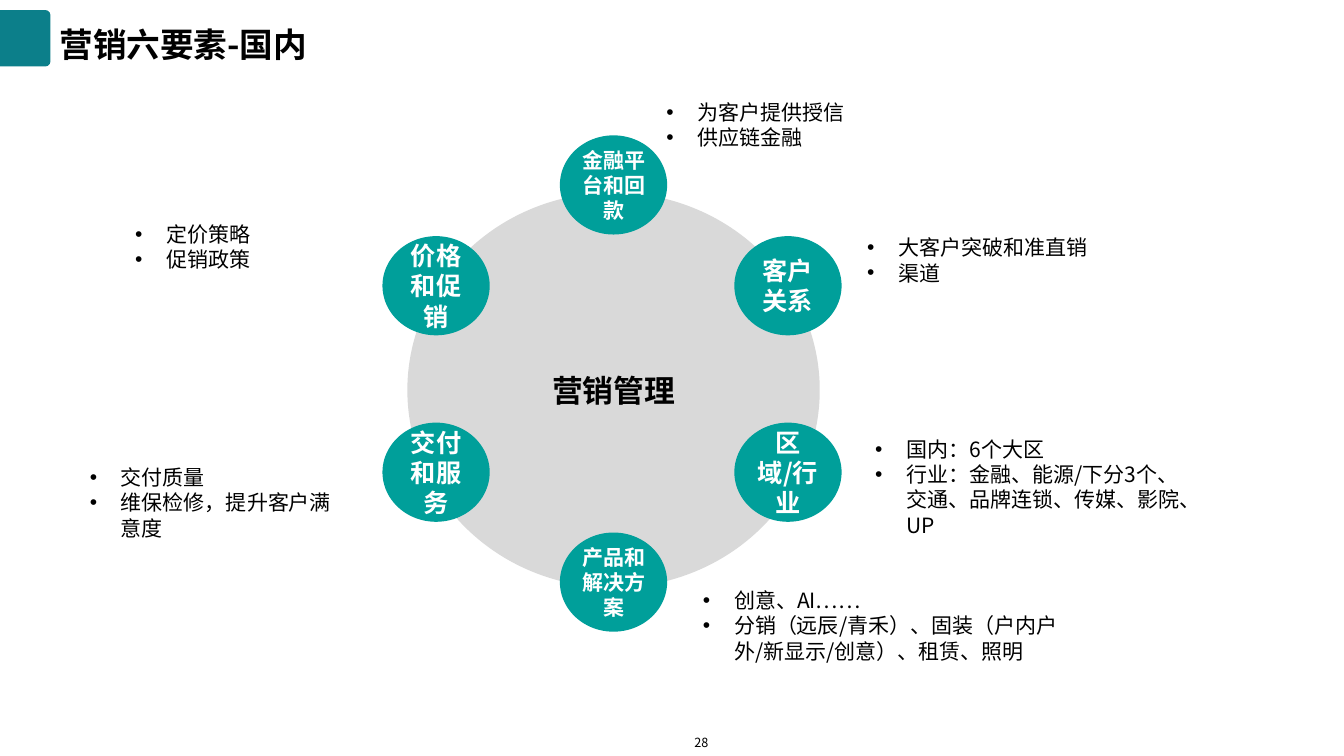
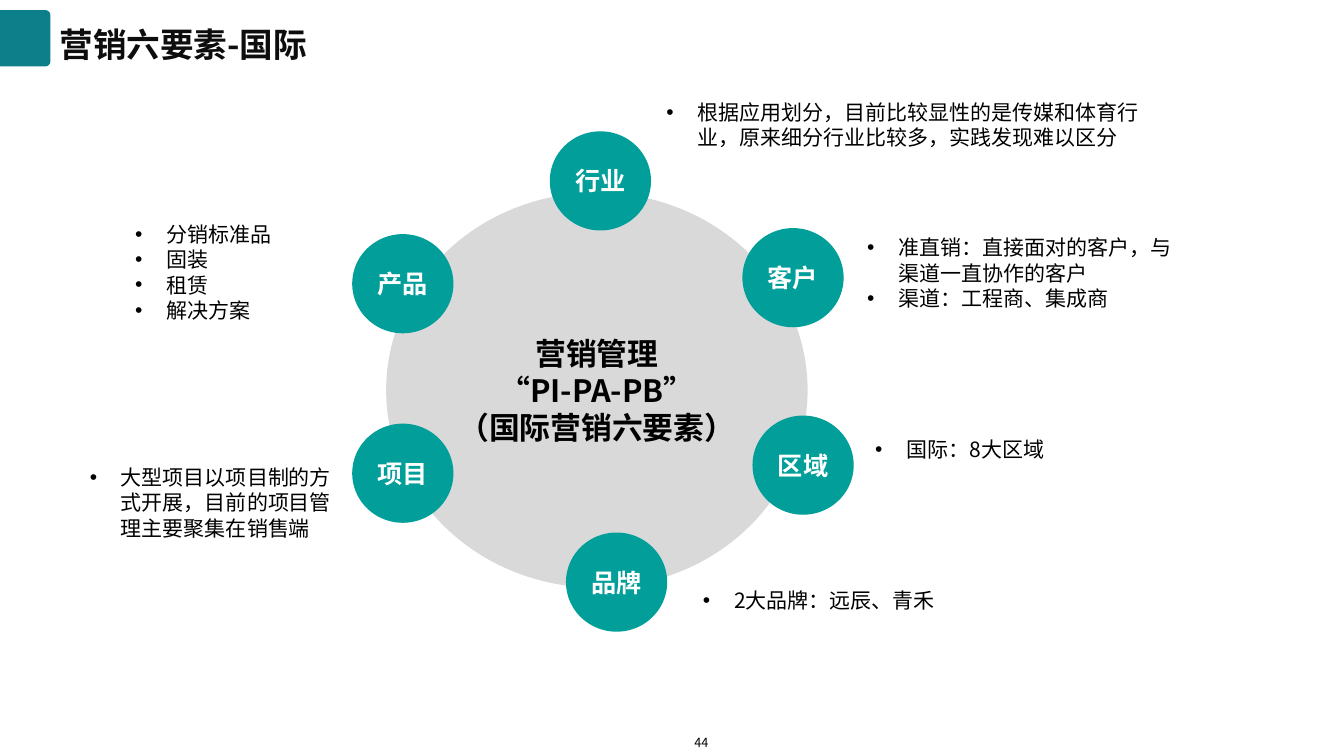
from dataclasses import dataclass

from lxml.etree import SubElement
from pptx import Presentation
from pptx.dml.color import RGBColor
from pptx.enum.shapes import MSO_SHAPE
from pptx.enum.text import MSO_ANCHOR, MSO_AUTO_SIZE, PP_ALIGN
from pptx.oxml.ns import qn
from pptx.util import Inches, Pt


@dataclass(frozen=True)
class Theme:
    font: str = "Noto Sans CJK SC"
    black: str = "000000"
    soft_black: str = "0D0D0D"
    white: str = "FFFFFF"
    tab: str = "0C7F8A"
    hub: str = "D9D9D9"
    teal: str = "009F9A"
    bright_teal: str = "029E9A"
    title_size: int = 24
    hub_size: int = 22
    element_size: int = 18
    small_size: int = 15
    page_size: int = 9


theme = Theme()


def write(shape, lines, size, color, bold=False, align=PP_ALIGN.LEFT,
          anchor=MSO_ANCHOR.TOP, margins=(0, 0), bullets=False):
    frame = shape.text_frame
    frame.word_wrap = True
    frame.auto_size = MSO_AUTO_SIZE.SHAPE_TO_FIT_TEXT if bullets else MSO_AUTO_SIZE.NONE
    frame.vertical_anchor = anchor
    frame.margin_left = frame.margin_right = Inches(margins[0])
    frame.margin_top = frame.margin_bottom = Inches(margins[1])
    frame.text = "\n".join(lines)
    for paragraph in frame.paragraphs:
        paragraph.alignment = align
        properties = paragraph._p.get_or_add_pPr()
        if bullets:
            properties.set("marL", str(Inches(0.31)))
            properties.set("indent", str(-Inches(0.31)))
            SubElement(properties, qn("a:buFont")).set("typeface", "Arial")
            SubElement(properties, qn("a:buChar")).set("char", "•")
        paragraph.font.name = theme.font
        paragraph.font.size = Pt(size)
        paragraph.font.bold = bold
        paragraph.font.color.rgb = RGBColor.from_string(color)
        east_asian = SubElement(properties.find(qn("a:defRPr")), qn("a:ea"))
        east_asian.set("typeface", theme.font)


def add_filled(slide, kind, box, fill, outline=None):
    shape = slide.shapes.add_shape(kind, *map(Inches, box))
    shape.shadow.inherit = False
    shape.fill.solid()
    shape.fill.fore_color.rgb = RGBColor.from_string(fill)
    if outline:
        shape.line.color.rgb = RGBColor.from_string(outline)
        shape.line.width = Pt(1)
    else:
        shape.line.fill.background()
    return shape


NOTE_TOP, NOTE_UPPER_RIGHT, NOTE_LOWER_RIGHT = (6.61, 0.99, 4.79), (8.6, 2.33, 3.18), (8.68, 4.33, 3.18)
NOTE_BOTTOM, NOTE_LOWER_LEFT, NOTE_UPPER_LEFT = (6.97, 5.83, 3.75), (0.89, 4.61, 2.45), (1.34, 2.2, 1.96)
NOTE_LINE = 0.25
ELEMENT_HEIGHT = 0.97

domestic = {
    "title": "营销六要素-国内", "title_color": theme.black, "page": "28",
    "hub": (4.04, 4.09, ["营销管理"]),
    "element_width": 1.05, "element_fill": theme.teal,
    "elements": [
        ("金融平台和回款", 5.56, 1.35, theme.small_size),
        ("客户关系", 7.29, 2.35, theme.element_size),
        ("价格和促销", 3.8, 2.35, theme.element_size),
        ("区域/行业", 7.29, 4.2, theme.element_size),
        ("交付和服务", 3.8, 4.2, theme.element_size),
        ("产品和解决方案", 5.56, 5.29, theme.small_size),
    ],
    "notes": [
        (NOTE_TOP, 2, ["为客户提供授信", "供应链金融"]),
        (NOTE_UPPER_RIGHT, 2, ["大客户突破和准直销", "渠道"]),
        (NOTE_LOWER_RIGHT, 4, ["国内：6个大区", "行业：金融、能源/下分3个、交通、品牌连锁、传媒、影院、UP"]),
        (NOTE_BOTTOM, 3, ["创意、AI……", "分销（远辰/青禾）、固装（户内户外/新显示/创意）、租赁、照明"]),
        (NOTE_LOWER_LEFT, 3, ["交付质量", "维保检修，提升客户满意度"]),
        (NOTE_UPPER_LEFT, 2, ["定价策略", "促销政策"]),
    ],
}

international = {
    "title": "营销六要素-国际", "title_color": theme.soft_black, "page": "44",
    "hub": (3.83, 4.18, ["营销管理", "“PI-PA-PB”", "（国际营销六要素）"]),
    "element_width": 0.99, "element_fill": theme.bright_teal,
    "elements": [
        ("行业", 5.46, 1.31, theme.element_size),
        ("客户", 7.37, 2.27, theme.element_size),
        ("产品", 3.5, 2.33, theme.element_size),
        ("区域", 7.47, 4.13, theme.element_size),
        ("项目", 3.5, 4.21, theme.element_size),
        ("品牌", 5.62, 5.29, theme.element_size),
    ],
    "notes": [
        (NOTE_TOP, 2, ["根据应用划分，目前比较显性的是传媒和体育行业，原来细分行业比较多，实践发现难以区分"]),
        (NOTE_UPPER_RIGHT, 3, ["准直销：直接面对的客户，与渠道一直协作的客户", "渠道：工程商、集成商"]),
        (NOTE_LOWER_RIGHT, 1, ["国际：8大区域"]),
        (NOTE_BOTTOM, 1, ["2大品牌：远辰、青禾"]),
        (NOTE_LOWER_LEFT, 3, ["大型项目以项目制的方式开展，目前的项目管理主要聚集在销售端"]),
        (NOTE_UPPER_LEFT, 4, ["分销标准品", "固装", "租赁", "解决方案"]),
    ],
}

deck = Presentation()
deck.slide_width, deck.slide_height = Inches(13.33), Inches(7.5)
title_only = deck.slide_layouts[5]
centred = {"align": PP_ALIGN.CENTER, "anchor": MSO_ANCHOR.MIDDLE, "bold": True}

for content in (domestic, international):
    slide = deck.slides.add_slide(title_only)

    title = slide.shapes.title
    title.left, title.top, title.width, title.height = map(Inches, (0.59, 0.1, 11.62, 0.56))
    write(title, [content["title"]], theme.title_size, content["title_color"],
          bold=True, anchor=MSO_ANCHOR.MIDDLE)
    title.text_frame.paragraphs[0].line_spacing = 1.3

    title_tab = add_filled(slide, MSO_SHAPE.ROUND_2_SAME_RECTANGLE, (-0.03, 0.13, 0.56, 0.5), theme.tab)
    title_tab.rotation = 90
    title_tab.adjustments[0] = 0.1

    page_number = slide.shapes.add_textbox(*map(Inches, (6.65, 7.24, 0.61, 0.25)))
    write(page_number, [content["page"]], theme.page_size, theme.black,
          align=PP_ALIGN.CENTER, margins=(0.04, 0.05))

    hub_left, hub_width, hub_lines = content["hub"]
    hub = add_filled(slide, MSO_SHAPE.OVAL, (hub_left, 1.91, hub_width, 3.92), theme.hub)
    write(hub, hub_lines, theme.hub_size, theme.black, **centred)

    for label, left, top, size in content["elements"]:
        element = add_filled(slide, MSO_SHAPE.OVAL, (left, top, content["element_width"], ELEMENT_HEIGHT),
                             content["element_fill"], theme.teal)
        write(element, [label], size, theme.white, **centred)

    for place, line_count, points in content["notes"]:
        note = slide.shapes.add_textbox(*map(Inches, (*place, line_count * NOTE_LINE)))
        write(note, points, theme.small_size, theme.black, bullets=True)

deck.save("out.pptx")
